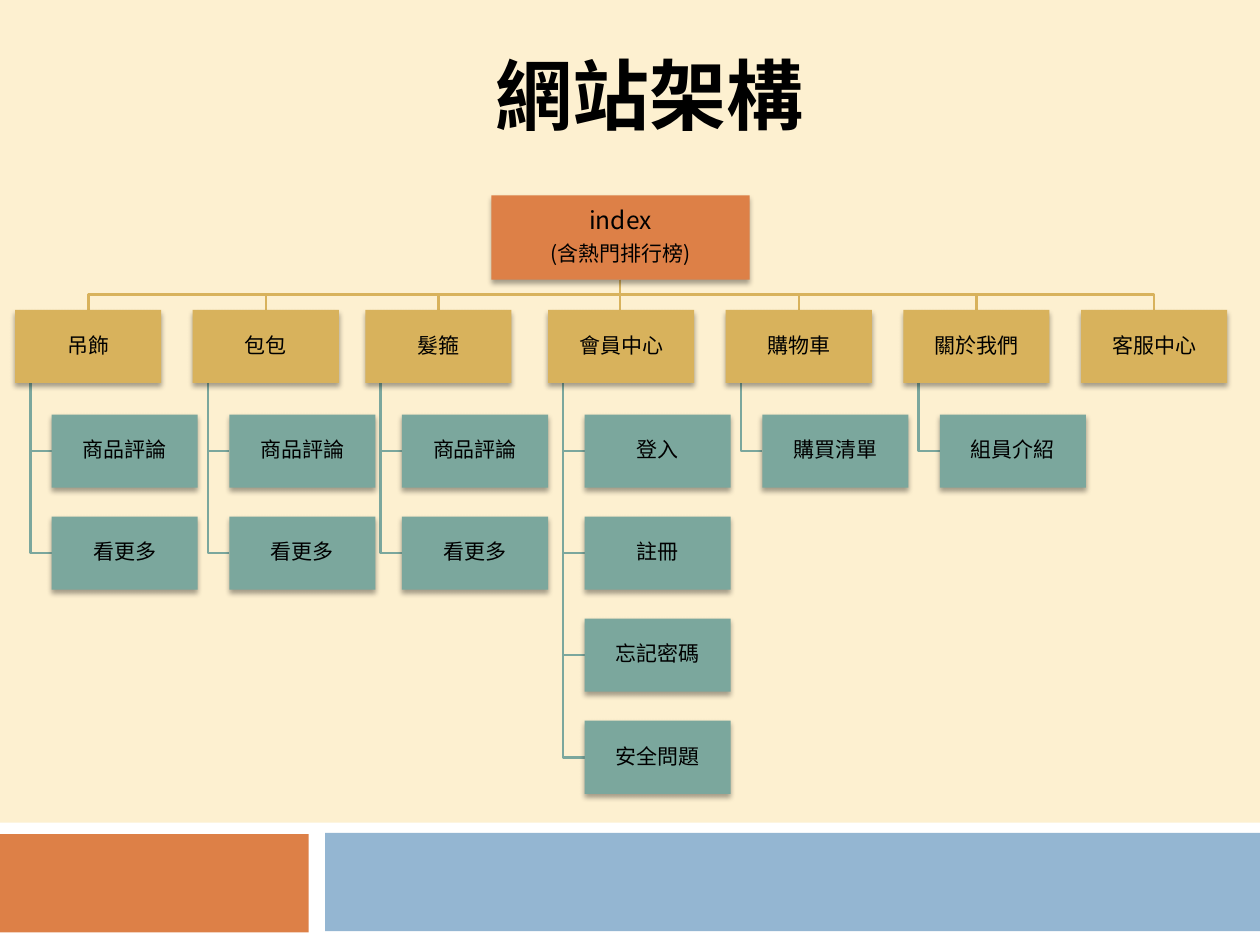
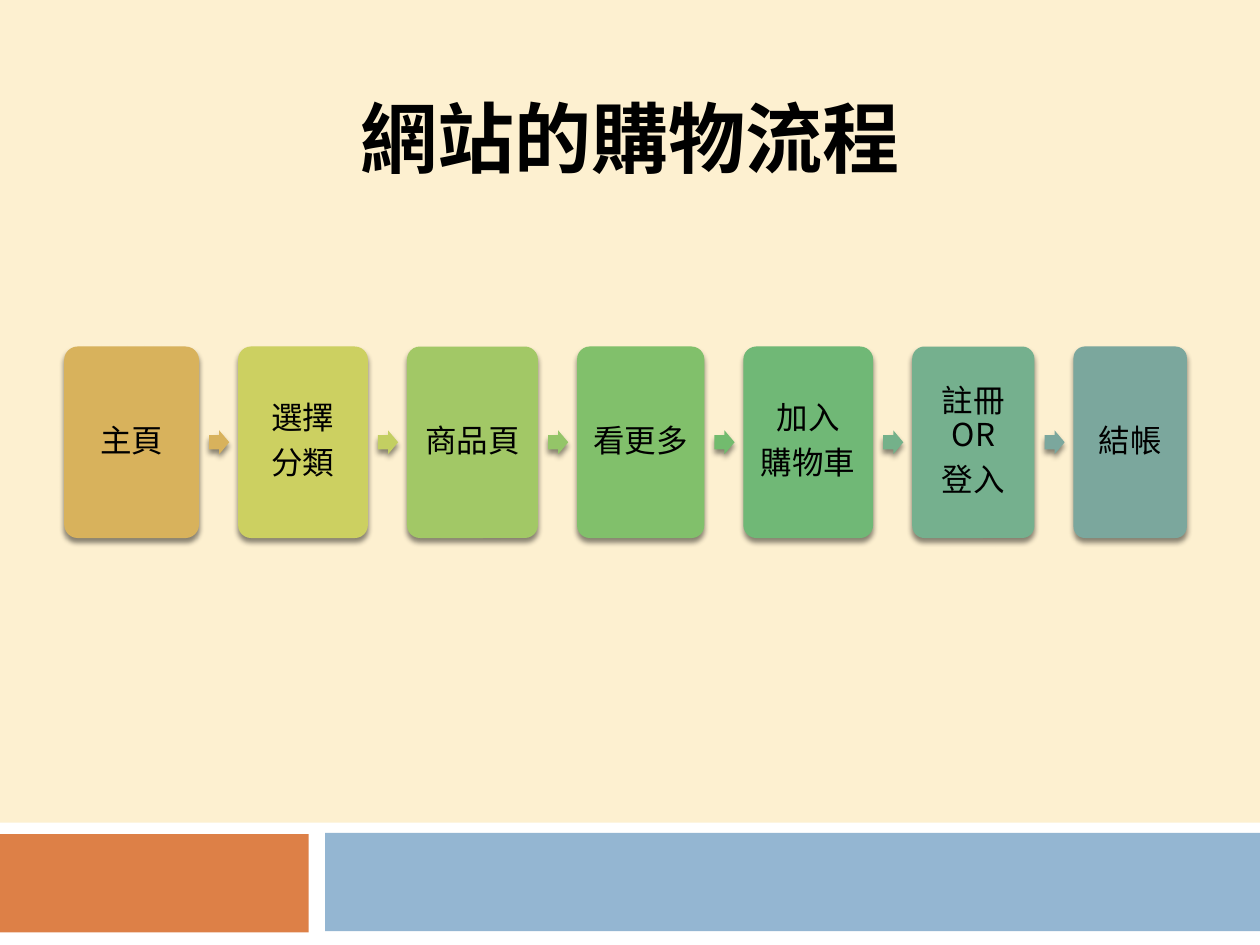
from lxml import etree
from pptx import Presentation
from pptx import util as u
from pptx.dml.color import RGBColor
from pptx.enum import shapes, text
from pptx.oxml.ns import qn

CREAM = RGBColor(0xFD, 0xF0, 0xD0)
WHITE = RGBColor(0xFF, 0xFF, 0xFF)
BLACK = RGBColor(0, 0, 0)
ORANGE = RGBColor(0xDD, 0x80, 0x47)
BLUE = RGBColor(0x94, 0xB6, 0xD2)
GOLD = RGBColor(0xD8, 0xB2, 0x5C)
TEAL = RGBColor(0x7B, 0xA7, 0x9D)
TITLE_FONT = "Cabin"
BOX_FONT = "Noto Sans CJK SC"
RECT = shapes.MSO_SHAPE.RECTANGLE


def add_box(slide, preset, at, fill, lines=(), inset=0.01, shadow=None):
    """Add a filled shape with (wording, size) lines and a (opacity, distance) shadow."""
    box = slide.shapes.add_shape(preset, *map(u.Inches, at))
    box.fill.solid()
    box.fill.fore_color.rgb = fill
    box.line.fill.background()
    box.shadow.inherit = False
    if shadow:
        opacity, distance = shadow
        effects = box.element.spPr.find(qn("a:effectLst"))
        outer = etree.SubElement(effects, qn("a:outerShdw"), blurRad=str(u.Pt(3)),
                                 dist=str(u.Pt(distance)), dir="5400000",
                                 algn="ctr", rotWithShape="0")
        colour = etree.SubElement(outer, qn("a:srgbClr"), val="000000")
        etree.SubElement(colour, qn("a:alpha"), val=str(opacity * 1000))
    frame = box.text_frame
    frame.word_wrap = True
    frame.vertical_anchor = text.MSO_ANCHOR.MIDDLE
    frame.margin_left = frame.margin_right = u.Inches(inset)
    frame.margin_top = frame.margin_bottom = u.Inches(inset)
    for i, (wording, size) in enumerate(lines):
        para = frame.add_paragraph() if i else frame.paragraphs[0]
        para.text = wording
        para.alignment = text.PP_ALIGN.CENTER
        para.line_spacing = 0.9
        para.space_after = u.Pt(0.35 * size)
        para.font.size = u.Pt(size)
        para.font.name = BOX_FONT
        para.font.color.rgb = BLACK
    return box


def add_branch(slide, points, colour):
    """Draw an open line through points given in inches."""
    start, *rest = [(u.Inches(x), u.Inches(y)) for x, y in points]
    if len(rest) == 1:
        branch = slide.shapes.add_connector(shapes.MSO_CONNECTOR.STRAIGHT, *start, *rest[0])
        etree.SubElement(branch.element.spPr, qn("a:effectLst"))
    else:
        builder = slide.shapes.build_freeform(*start)
        builder.add_line_segments(rest, close=False)
        branch = builder.convert_to_shape()
        branch.fill.background()
        branch.shadow.inherit = False
    branch.line.color.rgb = colour
    branch.line.width = u.Pt(1.5)


prs = Presentation()
prs.slide_width, prs.slide_height = u.Inches(10), u.Inches(7.5)

# Shared look: background and footer bands on the master, titles in one style
master = prs.slide_master
master.background.fill.solid()
master.background.fill.fore_color.rgb = CREAM
title_only = prs.slide_layouts[5]
sitemap, flow = [prs.slides.add_slide(title_only) for _ in range(2)]

bands = [((0, 6.53, 10, 0.97), WHITE), ((-0.01, 6.62, 2.46, 0.78), ORANGE),
         ((2.58, 6.61, 7.42, 0.78), BLUE)]
for position, (at, fill) in enumerate(bands, start=2):
    band = add_box(sitemap, RECT, at, fill)
    master.shapes.element.insert(position, band.element)

titles = [(sitemap, "網站架構", (0.91, 0.29, 8.5, 1.61), 0.79),
          (flow, "網站的購物流程", (0.75, 0.44, 8.5, 1.06), 0.05)]
for slide, wording, at, bottom in titles:
    title = slide.shapes.title
    title.left, title.top, title.width, title.height = map(u.Inches, at)
    frame = title.text_frame
    frame.text = wording
    frame.auto_size = text.MSO_AUTO_SIZE.NONE
    frame.vertical_anchor = text.MSO_ANCHOR.BOTTOM
    frame.margin_bottom = u.Inches(bottom)
    heading = frame.paragraphs[0]
    heading.alignment = text.PP_ALIGN.CENTER
    heading.font.size = u.Pt(44)
    heading.font.bold = True
    heading.font.name = TITLE_FONT
    heading.font.color.rgb = BLACK

# Slide 1: site map, one column per section with its pages below
BOX_W, BOX_H = 1.16, 0.58
COLUMN_STEP, ROW_STEP = 1.41, 0.81
SECTION_TOP, PAGE_TOP = 2.46, 3.29
PAGE_INDENT, TRUNK_INDENT = 0.29, 0.12
ROOT_X, ROOT_BOTTOM, BUS_Y = 4.92, 2.22, 2.34
MAP_SHADOW = (35, 2)
sections = [("吊飾", ["商品評論", "看更多"]),
            ("包包", ["商品評論", "看更多"]),
            ("髮箍", ["商品評論", "看更多"]),
            ("會員中心", ["登入", "註冊", "忘記密碼", "安全問題"]),
            ("購物車", ["購買清單"]),
            ("關於我們", ["組員介紹"]),
            ("客服中心", [])]
lefts = [0.12 + COLUMN_STEP * i for i in range(len(sections))]
lefts[2] -= 0.04

for left, (section, pages) in zip(lefts, sections):
    middle = left + BOX_W / 2
    if abs(middle - ROOT_X) < 0.02:
        add_branch(sitemap, [(ROOT_X, ROOT_BOTTOM), (ROOT_X, SECTION_TOP)], GOLD)
    else:
        add_branch(sitemap, [(ROOT_X, ROOT_BOTTOM), (ROOT_X, BUS_Y),
                             (middle, BUS_Y), (middle, SECTION_TOP)], GOLD)
    trunk = left + TRUNK_INDENT
    for row in range(len(pages)):
        page_y = PAGE_TOP + ROW_STEP * row + BOX_H / 2
        add_branch(sitemap, [(trunk, SECTION_TOP + BOX_H), (trunk, page_y),
                             (left + PAGE_INDENT, page_y)], TEAL)

add_box(sitemap, RECT, (3.9, 1.55, 2.05, 0.67), ORANGE,
        [("index", 14), ("(含熱門排行榜)", 12)], shadow=MAP_SHADOW)
for left, (section, pages) in zip(lefts, sections):
    add_box(sitemap, RECT, (left, SECTION_TOP, BOX_W, BOX_H), GOLD,
            [(section, 12)], shadow=MAP_SHADOW)
    for row, page in enumerate(pages):
        add_box(sitemap, RECT, (left + PAGE_INDENT, PAGE_TOP + ROW_STEP * row, BOX_W, BOX_H),
                TEAL, [(page, 12)], shadow=MAP_SHADOW)

# Slide 2: shopping steps, each followed by an arrow in a fixed gap
STEP_TOP, STEP_H = 2.75, 1.52
STEP_GAP, ARROW_OFFSET, ARROW_W, ARROW_H = 0.31, 0.08, 0.16, 0.19
FLOW_SHADOW = (45, 2.4)
steps = [(["主頁"], 1.07, GOLD, GOLD),
         (["選擇", "分類"], 1.03, RGBColor(0xCC, 0xD0, 0x61), RGBColor(0xC3, 0xCF, 0x62)),
         (["商品頁"], 1.04, RGBColor(0xA2, 0xC8, 0x66), RGBColor(0x94, 0xC5, 0x68)),
         (["看更多"], 1.01, RGBColor(0x81, 0xC0, 0x6B), RGBColor(0x72, 0xBB, 0x6E)),
         (["加入", "購物車"], 1.03, RGBColor(0x70, 0xB8, 0x76), RGBColor(0x74, 0xB1, 0x8A)),
         (["註冊OR", "登入"], 0.97, RGBColor(0x75, 0xB0, 0x8E), TEAL),
         (["結帳"], 0.9, TEAL, None)]
left = 0.51
for lines, width, fill, arrow_fill in steps:
    step = add_box(flow, shapes.MSO_SHAPE.ROUNDED_RECTANGLE, (left, STEP_TOP, width, STEP_H),
                   fill, [(line, 18) for line in lines], 0.07, FLOW_SHADOW)
    step.adjustments[0] = 0.1
    if arrow_fill:
        arrow_top = STEP_TOP + (STEP_H - ARROW_H) / 2
        arrow = add_box(flow, shapes.MSO_SHAPE.RIGHT_ARROW,
                        (left + width + ARROW_OFFSET, arrow_top, ARROW_W, ARROW_H),
                        arrow_fill, shadow=FLOW_SHADOW)
        arrow.adjustments[0] = 0.6
    left += width + STEP_GAP

prs.save("out.pptx")
